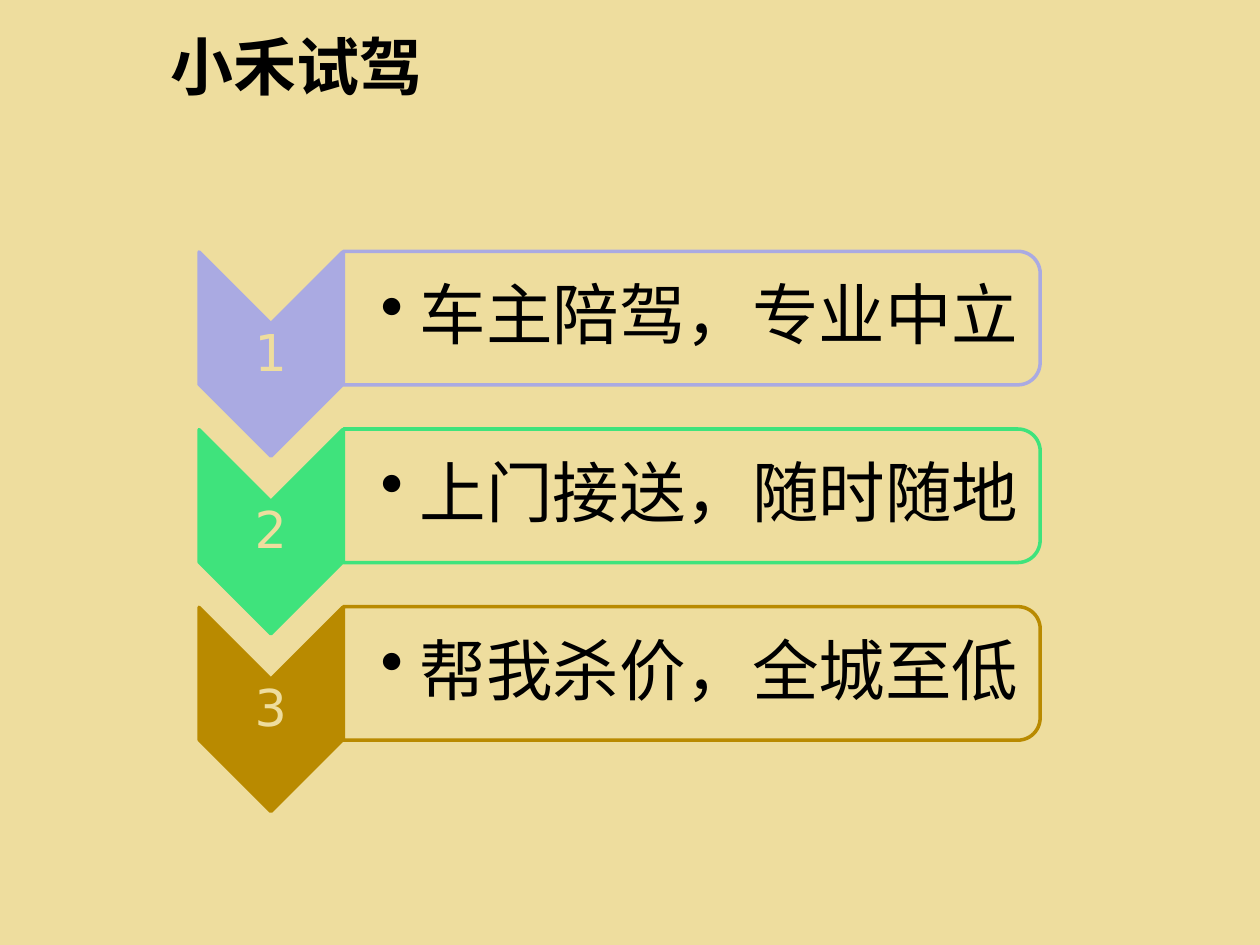
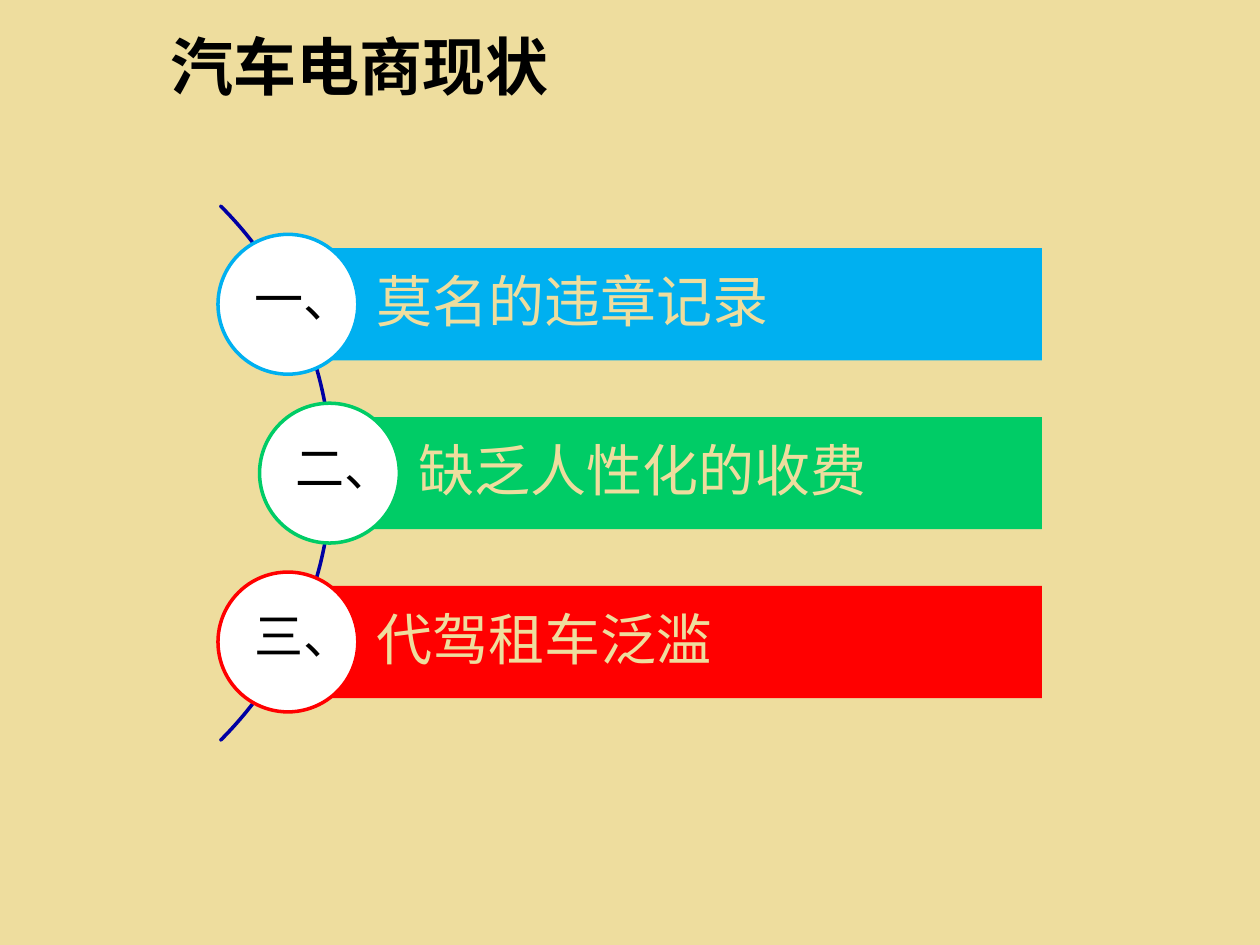
from lxml.etree import SubElement
from pptx import Presentation
from pptx.dml.color import RGBColor
from pptx.enum.shapes import MSO_SHAPE as Shape
from pptx.enum.text import MSO_ANCHOR as Anchor, MSO_AUTO_SIZE as AutoSize, PP_ALIGN as Align
from pptx.oxml.ns import qn
from pptx.util import Inches, Pt

SAND = "EEDD9E"
BLACK = "000000"
WHITE = "FFFFFF"
LATIN = "DejaVu Sans"
CHINESE = "Noto Sans CJK SC"


def rgb(code):
    return RGBColor.from_string(code)


class Deck:
    def __init__(self):
        self.prs = Presentation()
        self.prs.slide_width, self.prs.slide_height = Inches(10), Inches(7.5)
        background = self.prs.slide_master.background.fill
        background.solid()
        background.fore_color.rgb = rgb(SAND)
        self.slide = None

    def add_slide(self, heading):
        self.slide = self.prs.slides.add_slide(self.prs.slide_layouts[5])
        title = self.slide.shapes.title
        title.left, title.top, title.width, title.height = map(Inches, (1.25, 0.17, 3.92, 0.71))
        self.set_text(title, heading, 36, BLACK, font=CHINESE, bold=True, anchor=Anchor.TOP)

    def set_text(self, holder, words, size, color, font=LATIN, bold=False, align=Align.LEFT,
                 anchor=Anchor.MIDDLE, margins=(0.1, 0.05, 0.1, 0.05), spacing=None):
        frame = holder.text_frame
        frame.word_wrap = True
        frame.auto_size = AutoSize.NONE
        frame.vertical_anchor = anchor
        frame.margin_left, frame.margin_top, frame.margin_right, frame.margin_bottom = map(Inches, margins)
        paragraph = frame.paragraphs[0]
        paragraph.text = words
        paragraph.alignment = align
        paragraph.line_spacing = spacing
        style = paragraph.font
        style.name, style.size, style.bold = font, Pt(size), bold
        style.color.rgb = rgb(color)
        defaults = paragraph._p.pPr.find(qn("a:defRPr"))
        SubElement(defaults, qn("a:ea")).set("typeface", CHINESE)
        return paragraph

    def text(self, box, words, size, color, **style):
        holder = self.slide.shapes.add_textbox(*map(Inches, box))
        return self.set_text(holder, words, size, color, **style)

    def bullet(self, box, words, size, color, indent, **style):
        properties = self.text(box, words, size, color, **style)._p.pPr
        properties.set("marL", str(Inches(indent)))
        properties.set("indent", str(-Inches(indent)))
        mark = properties.makeelement(qn("a:buChar"), {"char": "•"})
        properties.find(qn("a:defRPr")).addprevious(mark)

    def shape(self, kind, box, fill, line=None, rotation=0, opacity=None):
        shape = self.slide.shapes.add_shape(kind, *map(Inches, box))
        shape.shadow.inherit = False
        shape.rotation = rotation
        shape.fill.solid()
        shape.fill.fore_color.rgb = rgb(fill)
        if opacity is not None:
            tint = shape._element.spPr.find(qn("a:solidFill"))[0]
            SubElement(tint, qn("a:alpha")).set("val", str(opacity * 1000))
        if line:
            shape.line.color.rgb = rgb(line)
            shape.line.width = Pt(2)
        else:
            shape.line.fill.background()
        return shape


def build_services(deck):
    deck.add_slide("小禾试驾")
    services = [("车主陪驾，专业中立", "AAAAE2"),
                ("上门接送，随时随地", "3FE37C"),
                ("帮我杀价，全城至低", "B98A00")]
    for index, (service, color) in enumerate(services):
        drop = index * 1.41
        deck.shape(Shape.CHEVRON, (1.34, 2.24 + drop, 1.62, 1.14), color, color, rotation=90)
        deck.text((1.58, 2.57 + drop, 1.14, 0.49), str(index + 1), 29, SAND,
                  align=Align.CENTER, margins=(0.02,) * 4, spacing=0.9)
        deck.shape(Shape.ROUND_2_SAME_RECTANGLE, (4.96, -0.24 + drop, 1.06, 5.53), SAND, color,
                   rotation=90, opacity=90)
        deck.bullet((2.72, 2.05 + drop, 5.48, 0.95), service, 38, BLACK, 0.31,
                    margins=(0.3, 0.03, 0.03, 0.03), spacing=0.9)


def build_problems(deck):
    deck.add_slide("汽车电商现状")
    arc = deck.shape(Shape.BLOCK_ARC, (-3.36, 0.76, 5.99, 5.99), "FF0066", "0000A3")
    for index, value in enumerate((189, 27, 0)):
        arc.adjustments[index] = value
    pitch = 1.34
    problems = [("一、", "莫名的违章记录", "00B0F0", 0),
                ("二、", "缺乏人性化的收费", "00CC66", 0.33),
                ("三、", "代驾租车泛滥", "FF0000", 0)]
    for index, (_, problem, color, shift) in enumerate(problems):
        drop = index * pitch
        band = deck.shape(Shape.RECTANGLE, (2.28 + shift, 1.97 + drop, 5.99 - shift, 0.89), color)
        deck.set_text(band, problem, 32, SAND, margins=(0.71, 0.09, 0.09, 0.09), spacing=0.9)
        deck.shape(Shape.OVAL, (1.73 + shift, 1.86 + drop, 1.11, 1.11), WHITE, color)
    for index, (numeral, _, _, shift) in enumerate(problems):
        deck.text((1.92 + shift, 2.08 + index * pitch, 0.75, 0.58), numeral, 28, BLACK,
                  font=CHINESE, anchor=Anchor.TOP)


def main():
    deck = Deck()
    build_services(deck)
    build_problems(deck)
    deck.prs.save("out.pptx")


if __name__ == "__main__":
    main()
